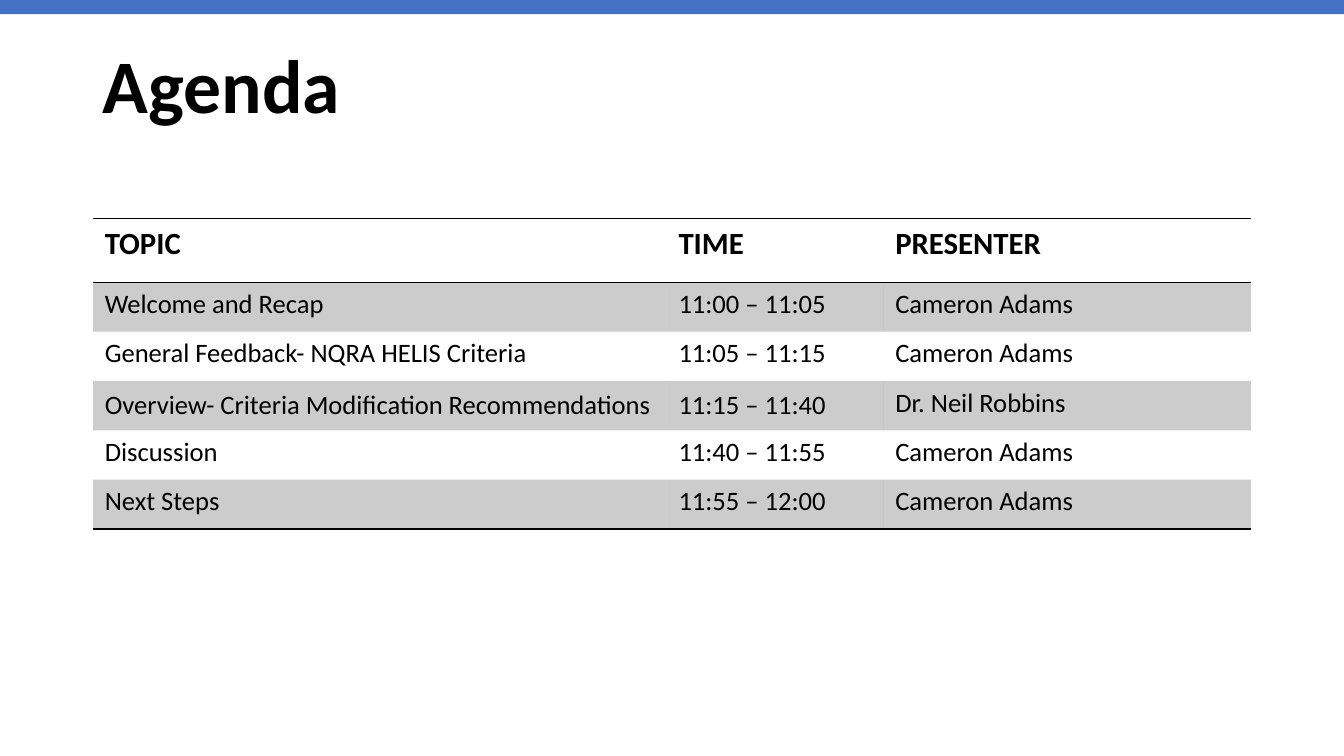
import pptx
import pptx.util
import pptx.dml.color
import pptx.enum.shapes
import pptx.enum.text
import pptx.oxml.ns
from dataclasses import dataclass
from lxml import etree

Inches = pptx.util.Inches
Anchor = pptx.enum.text.MSO_ANCHOR
qn = pptx.oxml.ns.qn


@dataclass(frozen=True)
class Theme:
    font: str = "Calibri"
    ink: str = "000000"
    bar: str = "4472C4"
    band: int = 20  # band opacity, percent
    title: int = 54
    head: int = 22
    body: int = 19


THEME = Theme()
PLAIN = "{2D5ABB26-0587-4C30-8999-92F81FD0307C}"  # no style, no grid
WIDE, HIGH = 13.33, 7.5
LEFT, SPAN = 0.92, 11.5
COLS = [5.69, 2.15, 3.65]
HEAD_H, ROW_H = 0.63, 0.49
ROWS = [
    ("TOPIC", "TIME", "PRESENTER"),
    ("Welcome and Recap", "11:00 – 11:05", "Cameron Adams"),
    ("General Feedback- NQRA HELIS Criteria", "11:05 – 11:15", "Cameron Adams"),
    ("Overview- Criteria Modification Recommendations", "11:15 – 11:40",
     "Dr. Neil Robbins"),
    ("Discussion", "11:40 – 11:55", "Cameron Adams"),
    ("Next Steps", "11:55 – 12:00", "Cameron Adams"),
]
MIDDLE = {(3, 0), (3, 1)}  # cells centred vertically


def rgb(code):
    return pptx.dml.color.RGBColor.from_string(code)


def style(frame, size, bold=False):
    for para in frame.paragraphs:
        for run in para.runs:
            font = run.font
            font.name, font.size, font.bold = THEME.font, pptx.util.Pt(size), bold
            font.color.rgb = rgb(THEME.ink)


def add_bar(slide):
    bar = slide.shapes.add_shape(pptx.enum.shapes.MSO_SHAPE.RECTANGLE,
                                 0, 0, Inches(WIDE), Inches(0.14))
    bar.shadow.inherit = False
    bar.fill.solid()
    bar.fill.fore_color.rgb = rgb(THEME.bar)
    bar.line.fill.background()


def add_title(slide, text):
    box = slide.shapes.add_textbox(Inches(LEFT), Inches(0.32),
                                   Inches(SPAN), Inches(1.02))
    frame = box.text_frame
    frame.word_wrap = True
    frame.vertical_anchor = Anchor.BOTTOM
    frame.text = text
    frame.paragraphs[0].line_spacing = 0.9
    style(frame, THEME.title, True)


def shade(cell):
    cell.fill.solid()
    cell.fill.fore_color.rgb = rgb(THEME.ink)
    color = cell._tc.tcPr.find(".//" + qn("a:srgbClr"))
    etree.SubElement(color, qn("a:alpha"), val=str(THEME.band * 1000))


def rule(cell, sides):
    # Borders come before the fill in the cell properties
    for spot, side in enumerate(sides):
        line = etree.Element(qn("a:ln" + side), w=str(pptx.util.Pt(1)))
        fill = etree.SubElement(line, qn("a:solidFill"))
        etree.SubElement(fill, qn("a:srgbClr"), val=THEME.ink)
        cell._tc.tcPr.insert(spot, line)


def fill_cell(cell, text, row, col):
    cell.margin_left = cell.margin_right = Inches(0.12)
    cell.margin_top = cell.margin_bottom = Inches(0.06)
    cell.vertical_anchor = Anchor.MIDDLE if (row, col) in MIDDLE else Anchor.TOP
    cell.text_frame.text = text
    head = row == 0
    style(cell.text_frame, THEME.head if head else THEME.body, head)
    if row % 2:
        shade(cell)
    else:
        cell.fill.background()
    if head:
        rule(cell, "TB")
    elif row == len(ROWS) - 1:
        rule(cell, "B")


def add_agenda(slide):
    high = HEAD_H + ROW_H * (len(ROWS) - 1)
    table = slide.shapes.add_table(len(ROWS), len(COLS), Inches(LEFT), Inches(2.17),
                                   Inches(SPAN), Inches(high)).table
    table.horz_banding = False
    table._tbl.tblPr.find(qn("a:tableStyleId")).text = PLAIN
    for col, wide in enumerate(COLS):
        table.columns[col].width = Inches(wide)
    for row, texts in enumerate(ROWS):
        table.rows[row].height = Inches(ROW_H if row else HEAD_H)
        for col, text in enumerate(texts):
            fill_cell(table.cell(row, col), text, row, col)


def main():
    deck = pptx.Presentation()
    deck.slide_width, deck.slide_height = Inches(WIDE), Inches(HIGH)
    slide = deck.slides.add_slide(deck.slide_layouts[6])
    add_title(slide, "Agenda")
    add_bar(slide)
    add_agenda(slide)
    deck.save("out.pptx")


if __name__ == "__main__":
    main()
